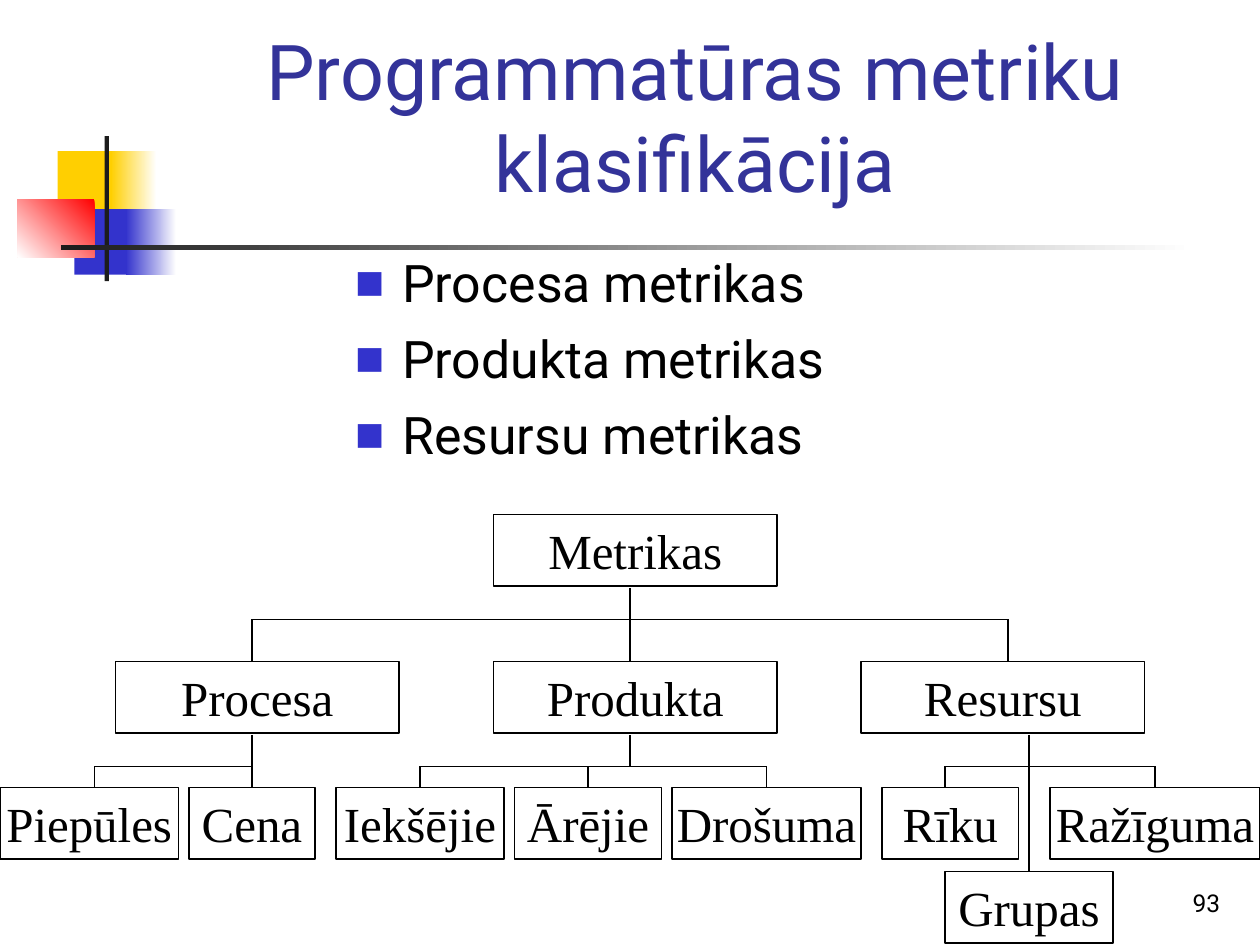
import dataclasses

import lxml.etree
import pptx
import pptx.dml.color
import pptx.enum.shapes
import pptx.enum.text
import pptx.oxml.ns
import pptx.util

Pt = pptx.util.Pt
ALIGN = pptx.enum.text.PP_ALIGN
ANCHOR = pptx.enum.text.MSO_ANCHOR


@dataclasses.dataclass(frozen=True)
class Theme:
    black: str = "000000"
    white: str = "FFFFFF"
    title: str = "333399"
    blue: str = "3333CC"
    yellow: str = "FFCF01"
    red: str = "FF0000"
    dark: str = "1C1C1C"
    sans: str = "Roboto"
    serif: str = "Times New Roman"
    title_size: float = 44
    body_size: float = 29.6
    node_size: float = 28
    number_size: float = 14


def rgb(color):
    return pptx.dml.color.RGBColor.from_string(color)


def add_element(parent, tag, **attributes):
    return lxml.etree.SubElement(parent, pptx.oxml.ns.qn(tag), **attributes)


def write_text(para, text, *, font, size, color, align=ALIGN.LEFT):
    para.alignment = align
    span = para.add_run()
    span.text = text
    span.font.name = font
    span.font.size = Pt(size)
    span.font.color.rgb = rgb(color)


class SlideBuilder:
    def __init__(self, page, theme):
        self.page = page
        self.theme = theme

    def frame(self, box, anchor=ANCHOR.TOP, margin=7.2, wrap=True):
        frame = box.text_frame
        frame.auto_size = pptx.enum.text.MSO_AUTO_SIZE.NONE
        frame.word_wrap = wrap
        frame.vertical_anchor = anchor
        frame.margin_left = frame.margin_right = Pt(margin)
        frame.margin_top = frame.margin_bottom = Pt(3.6)
        return frame

    def rectangle(self, left, top, width, height):
        box = self.page.shapes.add_shape(
            pptx.enum.shapes.MSO_SHAPE.RECTANGLE, Pt(left), Pt(top), Pt(width), Pt(height))
        box.shadow.inherit = False
        return box

    def block(self, left, top, width, height, *colors, angle=180):
        box = self.rectangle(left, top, width, height)
        box.line.fill.background()
        if len(colors) == 1:
            box.fill.solid()
            box.fill.fore_color.rgb = rgb(colors[0])
            return
        box.fill.gradient()
        box.fill.gradient_angle = angle
        for stop, color in zip(box.fill.gradient_stops, colors):
            stop.color.rgb = rgb(color)

    def title(self, text, left, top, width, height):
        box = self.page.shapes.title
        box.left, box.top, box.width, box.height = map(Pt, (left, top, width, height))
        frame = self.frame(box, ANCHOR.BOTTOM)
        write_text(frame.paragraphs[0], text, font=self.theme.sans, size=self.theme.title_size,
                   color=self.theme.title, align=ALIGN.CENTER)

    def text_box(self, left, top, width, height, anchor=ANCHOR.TOP):
        box = self.page.shapes.add_textbox(Pt(left), Pt(top), Pt(width), Pt(height))
        return self.frame(box, anchor)

    def bullets(self, items, left, top, width, height):
        frame = self.text_box(left, top, width, height)
        for index, item in enumerate(items):
            para = frame.add_paragraph() if index else frame.paragraphs[0]
            properties = para._p.get_or_add_pPr()
            properties.set("marL", str(Pt(27)))
            properties.set("indent", str(-Pt(27)))
            bullet_color = add_element(properties, "a:buClr")
            add_element(bullet_color, "a:srgbClr", val=self.theme.blue)
            add_element(properties, "a:buSzPct", val="60000")
            add_element(properties, "a:buFont", typeface=self.theme.sans)
            add_element(properties, "a:buChar", char="■")
            if index:
                para.space_before = Pt(8)
            write_text(para, item, font=self.theme.sans, size=self.theme.body_size,
                       color=self.theme.black)

    def page_number(self, text, left, top, width, height):
        frame = self.text_box(left, top, width, height, ANCHOR.BOTTOM)
        write_text(frame.paragraphs[0], text, font=self.theme.sans, size=self.theme.number_size,
                   color=self.theme.black, align=ALIGN.RIGHT)

    def node(self, text, left, top, width):
        box = self.rectangle(left, top, width, 41)
        box.fill.background()
        box.line.color.rgb = rgb(self.theme.black)
        box.line.width = Pt(1)
        frame = self.frame(box, margin=1.44, wrap=False)
        write_text(frame.paragraphs[0], text, font=self.theme.serif, size=self.theme.node_size,
                   color=self.theme.black, align=ALIGN.CENTER)

    def line(self, start_x, start_y, end_x, end_y):
        line = self.page.shapes.add_connector(
            pptx.enum.shapes.MSO_CONNECTOR.STRAIGHT,
            Pt(start_x), Pt(start_y), Pt(end_x), Pt(end_y))
        line.line.color.rgb = rgb(self.theme.black)
        line.line.width = Pt(1)
        add_element(line._element.spPr, "a:effectLst")

    def branch(self, trunk, top, trunk_end, bus, drops, drop_end):
        self.line(trunk, top, trunk, trunk_end)
        self.line(min(trunk, *drops), bus, max(trunk, *drops), bus)
        for drop in drops:
            self.line(drop, bus, drop, drop_end)


def main():
    theme = Theme()
    deck = pptx.Presentation()
    deck.slide_width, deck.slide_height = Pt(720), Pt(540)
    page = deck.slides.add_slide(deck.slide_layouts[5])
    builder = SlideBuilder(page, theme)

    builder.block(33, 86.4, 34.6, 37.4, theme.yellow)
    builder.block(63.4, 86.4, 26, 37.4, theme.white, theme.yellow)
    builder.block(42.5, 119.5, 33.1, 37.4, theme.blue)
    builder.block(72, 119.5, 28.8, 37.4, theme.white, theme.blue)
    builder.block(10, 113.8, 44, 33.1, theme.red, theme.white, angle=225)
    builder.block(59.8, 77.8, 2.4, 82.8, theme.dark)
    builder.block(34.6, 140.2, 648, 2.4, theme.white, theme.dark)

    builder.title("Programmatūras metriku klasifikācija", 90.7, 16.6, 613.4, 105.8)
    builder.bullets(["Procesa metrikas", "Produkta metrikas", "Resursu metrikas"],
                    195.8, 139.7, 318.2, 144)

    levels = [
        (294, 162, [("Metrikas", 282)]),
        (378, 162, [("Procesa", 66), ("Produkta", 282), ("Resursu", 492)]),
    ]
    for top, width, nodes in levels:
        for text, left in nodes:
            builder.node(text, left, top, width)
    leaves = [("Piepūles", 0, 102), ("Cena", 108, 72), ("Iekšējie", 192, 96),
              ("Ārējie", 294, 84), ("Drošuma", 384, 108), ("Rīku", 504, 78),
              ("Ražīguma", 600, 120)]
    for text, left, width in leaves:
        builder.node(text, left, 450, width)
    builder.node("Grupas", 540, 498, 96)

    builder.branch(360, 336, 378, 354, [144, 576], 378)
    for trunk, trunk_end, drops in [(144, 450, [54]), (360, 438, [240, 336, 438]),
                                    (588, 498, [540, 660])]:
        builder.branch(trunk, 420, trunk_end, 438, drops, 450)

    builder.page_number("93", 554.4, 491.8, 150, 36)
    deck.save("out.pptx")


if __name__ == "__main__":
    main()
